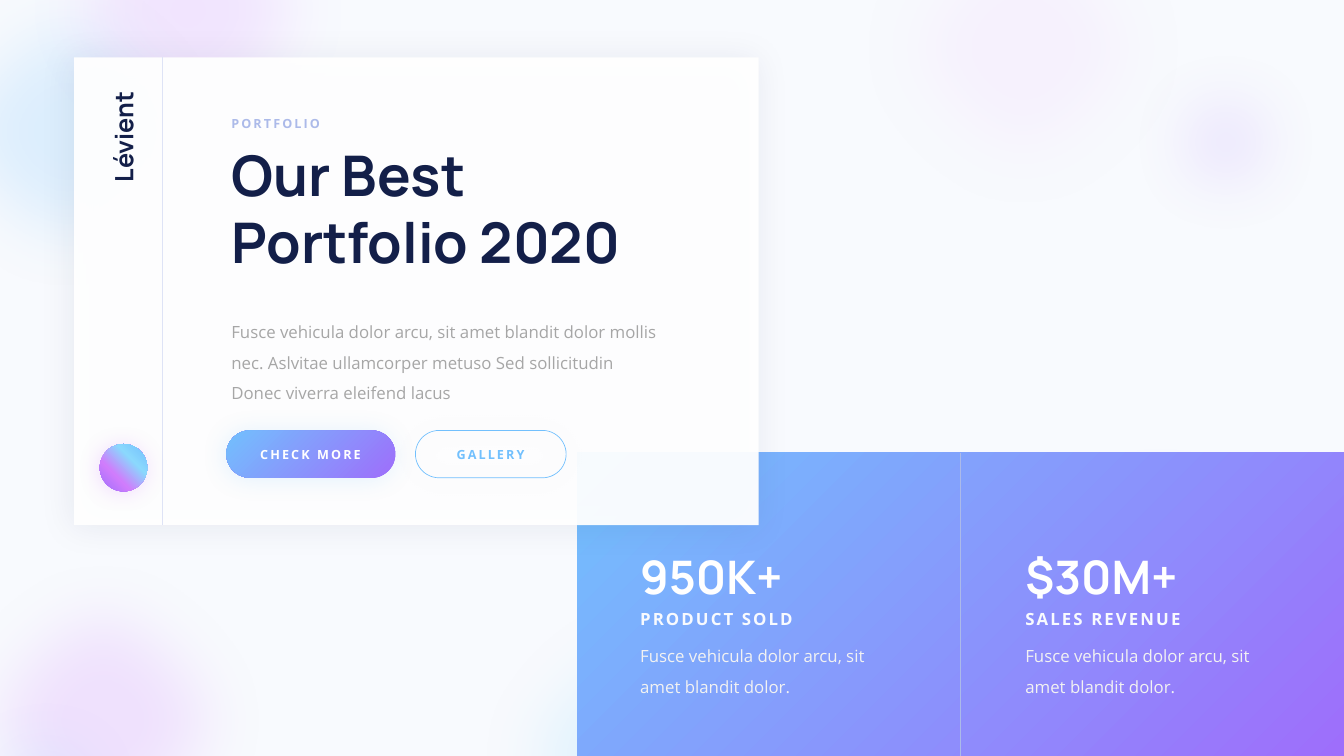
from lxml import etree
from pptx import Presentation
from pptx.dml.color import RGBColor
from pptx.enum.shapes import MSO_CONNECTOR, MSO_SHAPE
from pptx.enum.text import MSO_ANCHOR, MSO_AUTO_SIZE, PP_ALIGN
from pptx.oxml.ns import qn
from pptx.util import Inches, Pt

RECT, ROUND, OVAL = MSO_SHAPE.RECTANGLE, MSO_SHAPE.ROUNDED_RECTANGLE, MSO_SHAPE.OVAL
STRAIGHT = MSO_CONNECTOR.STRAIGHT
LEFT, CENTER = PP_ALIGN.LEFT, PP_ALIGN.CENTER
TOP = MSO_ANCHOR.TOP
NO_FIT = MSO_AUTO_SIZE.NONE
HEAD, BODY = "Manrope", "Open Sans"
C = {
    "page": "F8FAFE", "white": "FFFFFF", "navy": "131F49", "gray": "A6A6A6",
    "mist": "F2F2F2", "lavender": "ACBAE9", "rule": "DEE3F6", "violet": "9E6EFB",
    "orchid": "D17DFC", "blush": "F1CDFC", "sky": "8BD8FD", "blue": "72C0FD",
}
DUO = [(0, "violet"), (100, "blue")]
QUAD = [(0, "violet"), (34, "orchid"), (67, "sky"), (100, "blue")]
GLOWS = [
    (-2.4, -1.13, 7.45, "blue", 20), (0, -3.52, 7.45, "orchid", 17),
    (21.69, 0.2, 5.23, "violet", 19), (17.64, 8.26, 10.76, "violet", 12),
    (15.61, 9.1, 9.16, "orchid", 10), (8.99, 11.27, 7.45, "sky", 20),
    (16.57, -2.78, 7.45, "blush", 20), (-1.69, 10.57, 7.45, "orchid", 20),
    (-1.69, 13.06, 5.23, "blue", 19),
]


def rgb(name):
    """Return the palette colour as an RGBColor."""
    return RGBColor.from_string(C[name])


def add_color(parent, name, alpha):
    """Append a colour with an opacity in percent to an XML element."""
    clr = etree.SubElement(parent, qn("a:srgbClr"), val=C[name])
    etree.SubElement(clr, qn("a:alpha"), val=str(alpha * 1000))


def add_shape(s, kind, box, color=None, alpha=100, line=None):
    """Add a preset shape with a plain fill or none."""
    sp = s.shapes.add_shape(kind, *map(Inches, box))
    sp.shadow.inherit = False
    if color:
        sp.fill.solid()
        sp.fill.fore_color.rgb = rgb(color)
        clr = sp._element.spPr.find(".//" + qn("a:srgbClr"))
        etree.SubElement(clr, qn("a:alpha"), val=str(alpha * 1000))
    else:
        sp.fill.background()
    if line:
        sp.line.color.rgb = rgb(line)
        sp.line.width = Pt(1)
    else:
        sp.line.fill.background()
    return sp


def set_gradient(sp, stops, angle):
    """Give a shape a linear gradient, its angle counter-clockwise."""
    sp.fill.gradient()
    sp.fill.gradient_angle = angle
    gs_list = sp._element.spPr.find(".//" + qn("a:gsLst"))
    for gs in list(gs_list):
        gs_list.remove(gs)
    for pos, name in stops:
        gs = etree.SubElement(gs_list, qn("a:gs"), pos=str(pos * 1000))
        add_color(gs, name, 100)


def set_shadow(sp, name, alpha, blur):
    """Cast a soft shadow down and to the left."""
    effects = sp._element.spPr.find(qn("a:effectLst"))
    shadow = etree.SubElement(effects, qn("a:outerShdw"), blurRad=str(Pt(blur)),
                              dist=str(Pt(3)), dir="8100000", algn="tr", rotWithShape="0")
    add_color(shadow, name, alpha)


def add_rule(s, x, top, bottom, color):
    """Add a thin vertical rule."""
    cx = s.shapes.add_connector(STRAIGHT, *map(Inches, (x, top, x, bottom)))
    cx.line.color.rgb = rgb(color)
    cx.line.width = Pt(0.5)
    etree.SubElement(cx._element.spPr, qn("a:effectLst"))


def write(sp, text, size, font, color, bold=False, spacing=0, leading=1.0, align=LEFT):
    """Fill a shape's text frame with one formatted paragraph."""
    tf = sp.text_frame
    tf.word_wrap = True
    tf.auto_size = NO_FIT
    tf.vertical_anchor = TOP
    tf.text = text
    p = tf.paragraphs[0]
    p.alignment = align
    p.line_spacing = leading
    for r in p.runs:
        r.font.size = Pt(size)
        r.font.name = font
        r.font.bold = bold
        r.font.color.rgb = rgb(color)
        if spacing:
            r.font._element.set("spc", str(spacing * 100))


def add_text(s, box, *args, **kwargs):
    """Add a text box and write its paragraph."""
    sp = s.shapes.add_textbox(*map(Inches, box))
    write(sp, *args, **kwargs)
    return sp


def add_glows(s):
    """Scatter blurred circles over the background."""
    for x, y, d, color, alpha in GLOWS:
        sp = add_shape(s, OVAL, (x, y, d, d), color, alpha)
        effects = sp._element.spPr.find(qn("a:effectLst"))
        etree.SubElement(effects, qn("a:softEdge"), rad=str(Pt(100)))


def add_panel(s, x, y, w, h):
    """Draw the gradient panel with its middle rule."""
    set_gradient(add_shape(s, RECT, (x, y, w, h)), DUO, 135)
    add_rule(s, x + w / 2, y, y + h, "lavender")


def add_button(s, x, y, w, label, color, filled):
    """Draw a pill button with a centred label."""
    sp = add_shape(s, ROUND, (x, y, w, 0.94), line=None if filled else "blue")
    sp.adjustments[0] = 0.5
    if filled:
        set_gradient(sp, DUO, 135)
    set_shadow(sp, "blue", 19, 36)
    add_text(s, (x + w / 2 - 1.28, y + 0.27, 2.55, 0.4), label, 18, BODY, color,
             bold=True, spacing=3, align=CENTER)


def add_card(s, x, y, w, h):
    """Draw the white card with heading, text, buttons and brand strip."""
    card = add_shape(s, RECT, (x, y, w, h), "white", 95)
    set_shadow(card, "navy", 8, 51)
    left, width = x + 3.02, 8.95
    title = s.shapes.title
    card._element.addnext(title._element)
    title.left, title.top = Inches(left), Inches(y + 1.6)
    title.width, title.height = Inches(width), Inches(2.79)
    write(title, "Our Best Portfolio 2020", 80, HEAD, "navy", bold=True)
    add_text(s, (left, y + 5, width, 1.85),
             "Fusce vehicula dolor arcu, sit amet blandit dolor mollis nec. "
             "Aslvitae ullamcorper metuso Sed sollicitudin\vDonec viverra eleifend lacus",
             24, BODY, "gray", leading=1.5)
    add_text(s, (left, y + 1.12, width, 0.4), "PORTFOLIO", 18, BODY, "lavender",
             bold=True, spacing=3)
    add_button(s, left, y + 7.4, 3.35, "CHECK MORE", "white", True)
    add_button(s, left + 3.75, y + 7.4, 2.99, "GALLERY", "blue", False)
    add_rule(s, x + 1.75, y, y + h, "rule")
    dot = add_shape(s, OVAL, (x + 0.51, y + 7.67, 0.94, 0.94))
    set_gradient(dot, QUAD, 45)
    set_shadow(dot, "orchid", 26, 31)
    brand = add_text(s, (x - 0.06, y + 1.18, 2.08, 0.71), "Lévient", 36, HEAD, "navy",
                     bold=True)
    brand.rotation = 270


def add_stat(s, x, y, w, value, label):
    """Write one key figure with its label and note."""
    add_text(s, (x, y, w, 1.21), value, 66, HEAD, "white", bold=True)
    add_text(s, (x, y + 1.2, w, 0.5), label, 24, BODY, "page", bold=True, spacing=3)
    add_text(s, (x, y + 1.74, w, 1.25), "Fusce vehicula dolor arcu, sit amet blandit dolor.",
             24, BODY, "mist", leading=1.5)


def main():
    """Build the portfolio slide and save it."""
    prs = Presentation()
    prs.slide_width, prs.slide_height = Inches(26.66), Inches(15)
    s = prs.slides.add_slide(prs.slide_layouts[5])
    s.background.fill.solid()
    s.background.fill.fore_color.rgb = rgb("page")
    add_glows(s)
    add_panel(s, 11.45, 8.98, 15.21, 6.02)
    add_card(s, 1.47, 1.14, 13.58, 9.28)
    stats = [("950K+", "PRODUCT SOLD"), ("$30M+", "SALES REVENUE")]
    for i, (value, label) in enumerate(stats):
        add_stat(s, 12.6 + i * 7.64, 10.83, 5.49, value, label)
    prs.save("out.pptx")


if __name__ == "__main__":
    main()
